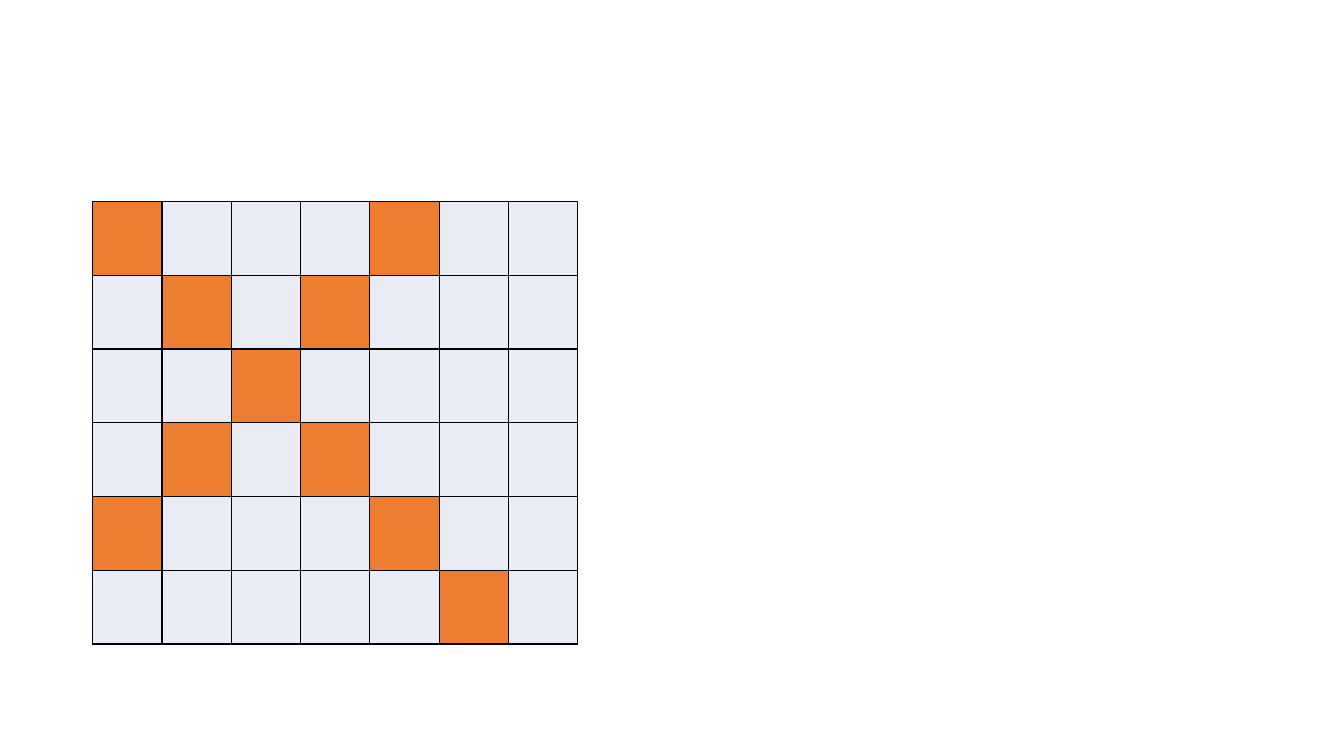
from lxml.etree import SubElement
from pptx import Presentation
from pptx.dml.color import RGBColor
from pptx.oxml.ns import qn
from pptx.util import Inches, Pt

PATTERN = (
    "X...X..",
    ".X.X...",
    "..X....",
    ".X.X...",
    "X...X..",
    ".....X.",
)
FILLS = {"X": "ED7D31", ".": "E9EBF5"}
BORDER_COLOR, BORDER_WIDTH = "000000", Pt(1)
LEFT, TOP, WIDTH, HEIGHT = (Inches(v) for v in (0.92, 2, 4.81, 4.39))


def fill_cell(cell, color):
    cell.fill.solid()
    cell.fill.fore_color.rgb = RGBColor.from_string(color)


def add_borders(cell):
    """Draw all four edges; the lines must precede the fill in tcPr."""
    tcPr = cell._tc.get_or_add_tcPr()
    for i, side in enumerate(("lnL", "lnR", "lnT", "lnB")):
        ln = SubElement(tcPr, qn(f"a:{side}"), w=str(int(BORDER_WIDTH)))
        tcPr.insert(i, ln)
        solid = SubElement(ln, qn("a:solidFill"))
        SubElement(solid, qn("a:srgbClr"), val=BORDER_COLOR)


def main():
    prs = Presentation()
    prs.slide_width, prs.slide_height = Inches(13.33), Inches(7.5)
    s = prs.slides.add_slide(prs.slide_layouts[6])
    table = s.shapes.add_table(
        len(PATTERN), len(PATTERN[0]), LEFT, TOP, WIDTH, HEIGHT
    ).table
    table.first_row = table.horz_banding = False
    for r, marks in enumerate(PATTERN):
        for c, mark in enumerate(marks):
            cell = table.cell(r, c)
            fill_cell(cell, FILLS[mark])
            add_borders(cell)
    prs.save("out.pptx")


if __name__ == "__main__":
    main()
